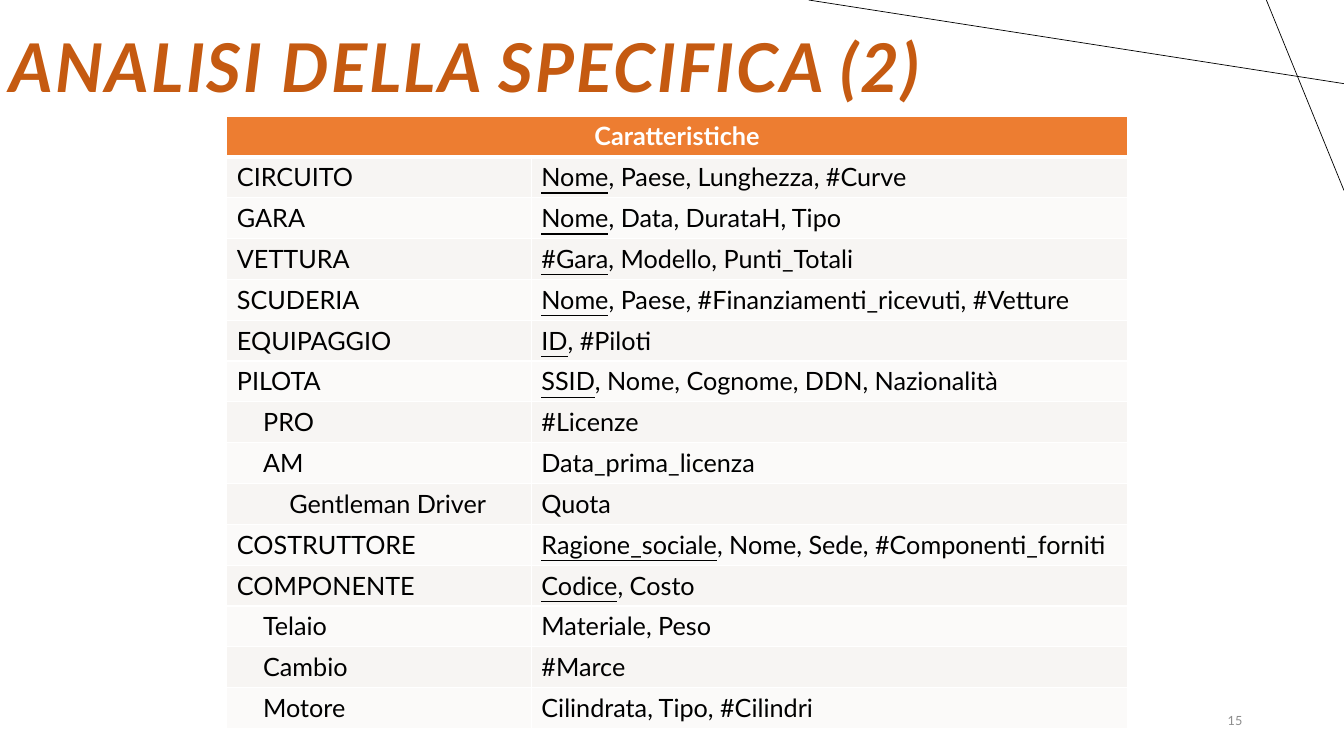
from dataclasses import dataclass

from lxml import etree
from pptx import Presentation
from pptx.dml.color import RGBColor
from pptx.enum.shapes import MSO_CONNECTOR
from pptx.enum.text import MSO_ANCHOR, PP_ALIGN
from pptx.oxml.ns import qn
from pptx.util import Inches, Pt

STRAIGHT = MSO_CONNECTOR.STRAIGHT
LEFT, CENTER, RIGHT = PP_ALIGN.LEFT, PP_ALIGN.CENTER, PP_ALIGN.RIGHT
MIDDLE, BOTTOM = MSO_ANCHOR.MIDDLE, MSO_ANCHOR.BOTTOM


@dataclass(frozen=True)
class Theme:
    font: str = "Lato"
    title: str = "C55A11"
    header: str = "ED7D31"
    bands: tuple[str, str] = ("F7F5F3", "FBFAF9")
    text: str = "000000"
    white: str = "FFFFFF"
    number: str = "8C8C8C"
    title_size: float = 48
    table_size: float = 18
    number_size: float = 9


@dataclass(frozen=True)
class Line:
    x1: float
    y1: float
    x2: float
    y2: float


@dataclass(frozen=True)
class Label:
    text: str
    left: float
    top: float
    width: float
    height: float
    size: float
    color: str
    align: PP_ALIGN
    anchor: MSO_ANCHOR
    strong: bool = False
    spacing: float = 0


@dataclass(frozen=True)
class Entity:
    name: str
    attributes: str
    key: str = ""
    level: int = 0


THEME = Theme()
INDENT = 0.26
LINES = (Line(13.33, 0.83, 8.02, 0), Line(12.56, 0, 13.33, 1.89))
LABELS = (
    Label("15", 9.42, 6.95, 3, 0.4, THEME.number_size, THEME.number, RIGHT, MIDDLE),
    Label("ANALISI DELLA SPECIFICA (2)", 0, 0.19, 9.96, 0.92, THEME.title_size,
          THEME.title, LEFT, BOTTOM, strong=True, spacing=1.5),
)
ENTITIES = (
    Entity("CIRCUITO", ", Paese, Lunghezza, #Curve", "Nome"),
    Entity("GARA", ", Data, DurataH, Tipo", "Nome"),
    Entity("VETTURA", ", Modello, Punti_Totali", "#Gara"),
    Entity("SCUDERIA", ", Paese, #Finanziamenti_ricevuti, #Vetture", "Nome"),
    Entity("EQUIPAGGIO", ", #Piloti", "ID"),
    Entity("PILOTA", ", Nome, Cognome, DDN, Nazionalità", "SSID"),
    Entity("PRO", "#Licenze", level=1),
    Entity("AM", "Data_prima_licenza", level=1),
    Entity("Gentleman Driver", "Quota", level=2),
    Entity("COSTRUTTORE", ", Nome, Sede, #Componenti_forniti", "Ragione_sociale"),
    Entity("COMPONENTE", ", Costo", "Codice"),
    Entity("Telaio", "Materiale, Peso", level=1),
    Entity("Cambio", "#Marce", level=1),
    Entity("Motore", "Cilindrata, Tipo, #Cilindri", level=1),
)


def style_run(r, size: float, color: str, bold: bool = False) -> None:
    """Give a run the theme font with a size, colour and weight."""
    r.font.name = THEME.font
    r.font.size = Pt(size)
    r.font.bold = bold
    r.font.color.rgb = RGBColor.from_string(color)


def draw_line(slide, line: Line) -> None:
    """Draw a thin decorative line."""
    ends = (Inches(v) for v in (line.x1, line.y1, line.x2, line.y2))
    cxn = slide.shapes.add_connector(STRAIGHT, *ends)
    cxn.line.width = Pt(0.5)
    cxn.line.color.rgb = RGBColor.from_string(THEME.text)
    etree.SubElement(cxn._element.spPr, qn("a:effectLst"))


def draw_label(slide, label: Label) -> None:
    """Draw a text box with one styled line."""
    box = (Inches(v) for v in (label.left, label.top, label.width, label.height))
    tf = slide.shapes.add_textbox(*box).text_frame
    tf.word_wrap = True
    tf.vertical_anchor = label.anchor
    p = tf.paragraphs[0]
    p.text = label.text
    p.alignment = label.align
    p.line_spacing = 0.9 if label.strong else 1.0
    r = p.runs[0]
    style_run(r, label.size, label.color, label.strong)
    r.font.italic = label.strong
    if label.spacing:
        r.font._element.set("spc", str(int(label.spacing * 100)))


def style_cell(cell, fill: str, bottom: float = 1) -> None:
    """Fill a cell and give it white borders."""
    tc_pr = cell._tc.get_or_add_tcPr()
    for side, width in (("L", 1), ("R", 1), ("T", 1), ("B", bottom)):
        ln = etree.SubElement(tc_pr, qn(f"a:ln{side}"), w=str(Pt(width)))
        solid = etree.SubElement(ln, qn("a:solidFill"))
        etree.SubElement(solid, qn("a:srgbClr"), val=THEME.white)
    cell.fill.solid()
    cell.fill.fore_color.rgb = RGBColor.from_string(fill)


def draw_row(row, entity: Entity, fill: str) -> None:
    """Write an entity and its attributes, with the key underlined."""
    name, attributes = row.cells
    for cell in (name, attributes):
        style_cell(cell, fill)
    p = name.text_frame.paragraphs[0]
    p.text = entity.name
    if entity.level:
        p._p.get_or_add_pPr().set("marL", str(Inches(INDENT * entity.level)))
    style_run(p.runs[0], THEME.table_size, THEME.text)
    p = attributes.text_frame.paragraphs[0]
    for text in filter(None, (entity.key, entity.attributes)):
        r = p.add_run()
        r.text = text
        style_run(r, THEME.table_size, THEME.text)
        r.font.underline = text == entity.key


def draw_table(slide) -> None:
    """Draw the table of entities under a merged header."""
    box = (Inches(v) for v in (2.25, 1.15, 8.93, 6.08))
    table = slide.shapes.add_table(len(ENTITIES) + 1, 2, *box).table
    for column, width in zip(table.columns, (3.02, 5.91)):
        column.width = Inches(width)
    header = table.cell(0, 0)
    header.merge(table.cell(0, 1))
    for cell in table.rows[0].cells:
        style_cell(cell, THEME.header, bottom=3)
    p = header.text_frame.paragraphs[0]
    p.text = "Caratteristiche"
    p.alignment = CENTER
    style_run(p.runs[0], THEME.table_size, THEME.white, bold=True)
    for i, entity in enumerate(ENTITIES):
        draw_row(table.rows[i + 1], entity, THEME.bands[i % 2])


def main() -> None:
    """Build the slide and save it."""
    prs = Presentation()
    prs.slide_width, prs.slide_height = Inches(13.33), Inches(7.5)
    slide = prs.slides.add_slide(prs.slide_layouts[6])
    for line in LINES:
        draw_line(slide, line)
    for label in LABELS:
        draw_label(slide, label)
    draw_table(slide)
    prs.save("out.pptx")


if __name__ == "__main__":
    main()
